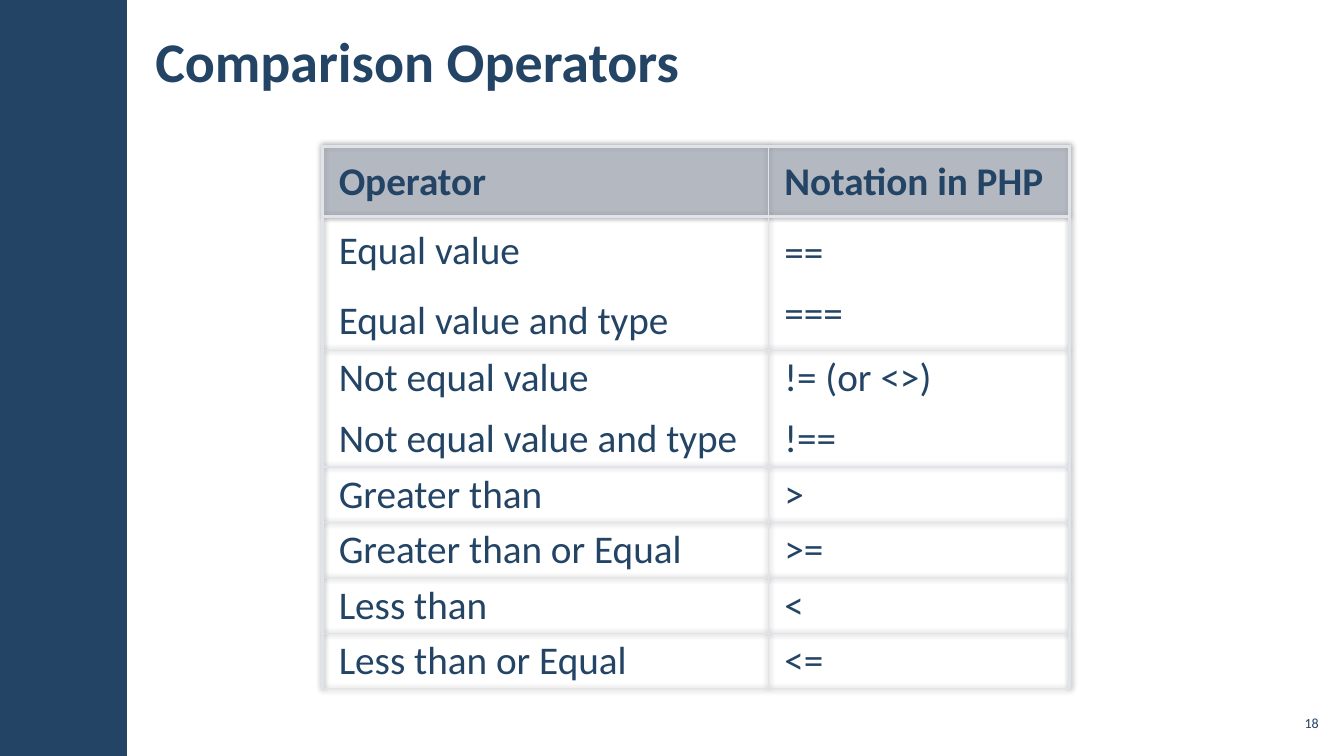
from lxml.etree import SubElement
from pptx import Presentation
from pptx.dml.color import RGBColor
from pptx.enum.shapes import MSO_SHAPE
from pptx.enum.text import MSO_ANCHOR, PP_ALIGN
from pptx.oxml import parse_xml
from pptx.oxml.ns import nsdecls, qn
from pptx.util import Inches, Pt

NAVY, GREY, EDGE = "234465", "A3ABBC", "E0E3E9"


def color(code):
    return RGBColor.from_string(code)


def write(frame, text, size=28, bold=False, align=PP_ALIGN.LEFT,
          line=None, before=0, after=0):
    """Write one paragraph for each line of text."""
    frame.word_wrap = True
    frame.vertical_anchor = MSO_ANCHOR.MIDDLE
    frame.text = text
    for para in frame.paragraphs:
        para.alignment = align
        para.line_spacing = line
        para.space_before, para.space_after = Pt(before), Pt(after)
        font = para.runs[0].font
        font.name, font.size, font.bold = "Calibri", Pt(size), bold
        font.color.rgb = color(NAVY)


deck = Presentation()
deck.slide_width, deck.slide_height = Inches(13.33), Inches(7.5)
slide = deck.slides.add_slide(deck.slide_layouts[5])

# Side band
band = slide.shapes.add_shape(MSO_SHAPE.RECTANGLE, 0, 0, Inches(1.26), Inches(7.5))
band.shadow.inherit = False
band.fill.solid()
band.fill.fore_color.rgb = color(NAVY)
band.line.fill.background()

# Title
title = slide.shapes.title
title.left, title.top = Inches(1.42), Inches(0.11)
title.width, title.height = Inches(9.19), Inches(0.97)
frame = title.text_frame
frame.margin_left = frame.margin_right = Inches(0.12)
frame.margin_top = frame.margin_bottom = Inches(0.04)
write(frame, "Comparison Operators", size=40, bold=True)

# Slide number
box = slide.shapes.add_textbox(Inches(12.65), Inches(7), Inches(0.47), Inches(0.34))
frame = box.text_frame
frame.margin_left = frame.margin_right = Inches(0.04)
frame.margin_top = frame.margin_bottom = Inches(0.04)
write(frame, "18", size=10, align=PP_ALIGN.RIGHT)

# Operator table
rows = [
    ("Operator", "Notation in PHP", 0.7),
    ("Equal value\nEqual value and type", "==\n===", 1.32),
    ("Not equal value\nNot equal value and type", "!= (or <>)\n!==", 1.16),
    ("Greater than", ">", 0.55),
    ("Greater than or Equal", ">=", 0.55),
    ("Less than", "<", 0.55),
    ("Less than or Equal", "<=", 0.55),
]
high = sum(row[2] for row in rows)
table = slide.shapes.add_table(len(rows), 2, Inches(3.2), Inches(1.45),
                               Inches(7.41), Inches(high)).table
table.first_row = table.horz_banding = False
table.columns[0].width, table.columns[1].width = Inches(4.42), Inches(2.99)

# Soft shadow around the table lines
table._tbl.tblPr.insert(0, parse_xml(
    f'<a:effectLst {nsdecls("a")}><a:outerShdw blurRad="50800" dist="0" '
    'algn="ctr" rotWithShape="0"><a:srgbClr val="000000"><a:alpha val="43000"/>'
    '</a:srgbClr></a:outerShdw></a:effectLst>'))

for r, (*texts, tall) in enumerate(rows):
    table.rows[r].height = Inches(tall)
    for c, text in enumerate(texts):
        cell = table.cell(r, c)
        cell.margin_left = cell.margin_right = Inches(0.16)
        cell.margin_top = cell.margin_bottom = Inches(0.05)
        cell.vertical_anchor = MSO_ANCHOR.MIDDLE
        if (r, c) == (1, 0):
            write(cell.text_frame, text, line=Pt(38), before=6, after=6)
        else:
            write(cell.text_frame, text, bold=r == 0, line=0.95, before=11.2)

        # Borders: heavy around the header and at the sides
        props = cell._tc.get_or_add_tcPr()
        heavy = {"L": c == 0, "R": c == 1, "T": r < 2, "B": r == 0}
        for side, thick in heavy.items():
            edge = SubElement(props, qn(f"a:ln{side}"), w=str(Pt(2.25 if thick else 1)))
            SubElement(SubElement(edge, qn("a:solidFill")), qn("a:srgbClr"), val=EDGE)

        # Half-clear header, open body
        if r == 0:
            cell.fill.solid()
            cell.fill.fore_color.rgb = color(GREY)
            tint = props.find(qn("a:solidFill")).find(qn("a:srgbClr"))
            SubElement(tint, qn("a:alpha"), val="50000")
        else:
            cell.fill.background()

deck.save("out.pptx")
